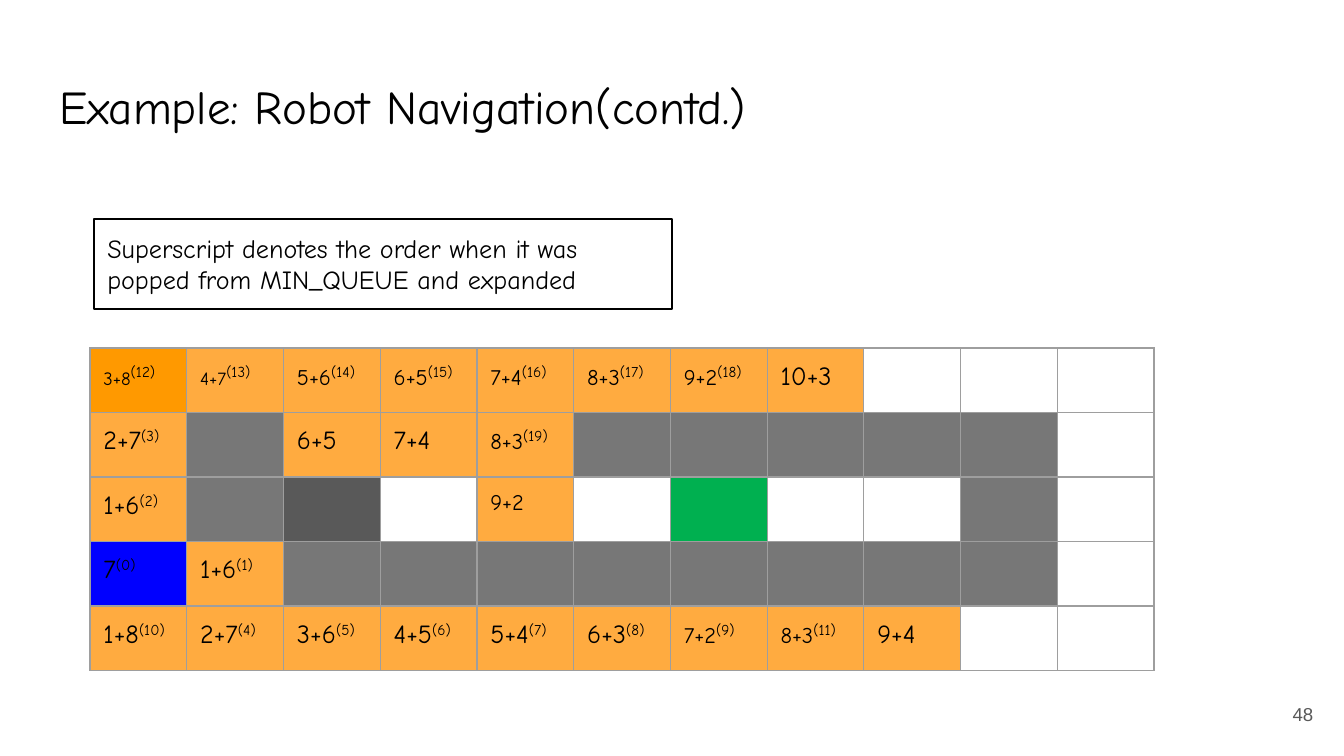
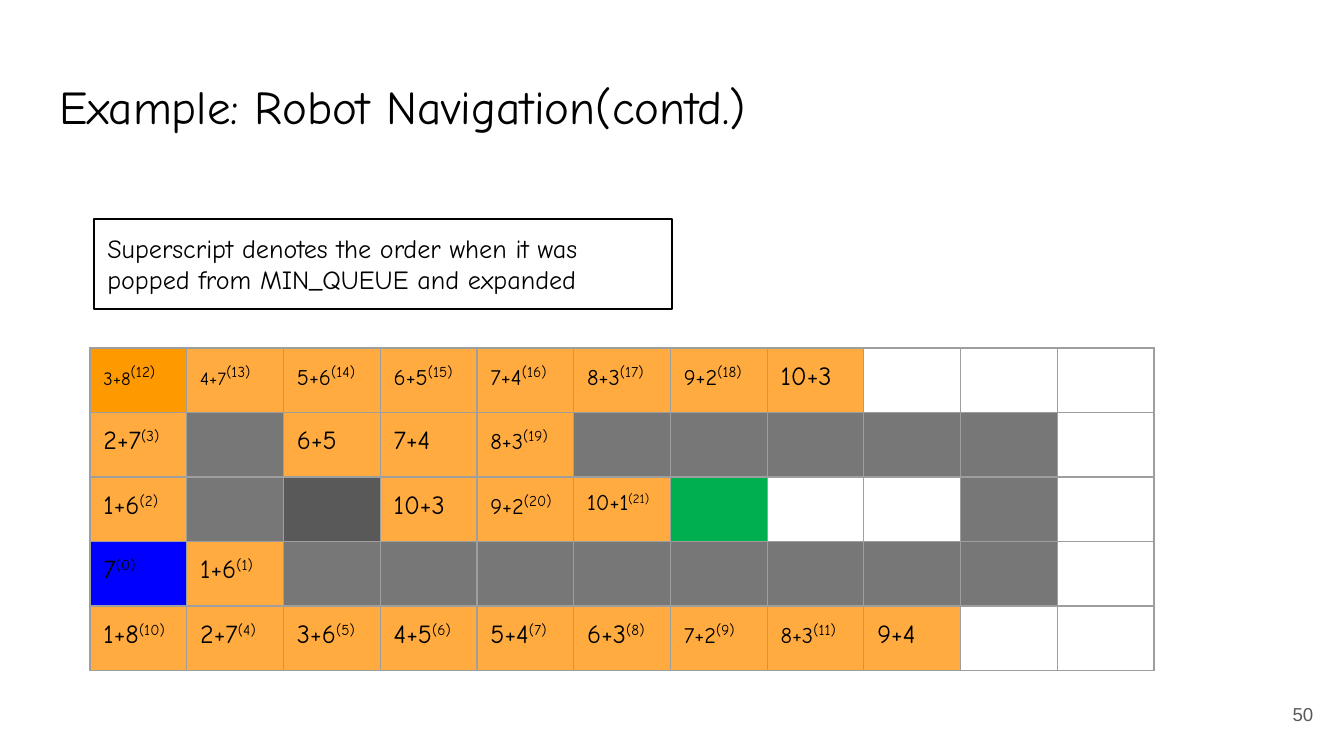
from dataclasses import dataclass

from lxml import etree
from pptx import Presentation
from pptx import util as u
from pptx.dml.color import RGBColor
from pptx.enum import shapes, text
from pptx.oxml import ns

In = u.Inches


@dataclass(frozen=True)
class Theme:
    body_font: str = "Comic Neue"
    number_font: str = "Arial"
    ink: str = "000000"
    muted: str = "595959"
    grid: str = "9E9E9E"
    visited: str = "FFAB40"
    corner: str = "FF9900"
    wall: str = "777777"
    dark_wall: str = "595959"
    start: str = "0000FF"
    goal: str = "00B050"
    cleared: str = "FFFFFF"
    title_size: float = 25.2
    body_size: float = 14
    number_size: float = 10
    line_width: float = 0.75
    inset: float = 0.1


TITLE = "Example: Robot Navigation(contd.)"
NOTE = "Superscript denotes the order when it was popped from MIN_QUEUE and expanded"

# A cell reads [size[/order size]:]cost[^order]; the other codes stand for empty cells.
EMPTY_KINDS = {"#": "wall", "_": "cleared", ".": None}
TOP_ROWS = [
    "10:3+8^12 10:4+7^13 12:5+6^14 12:6+5^15 12:7+4^16 12:8+3^17 12:9+2^18 10+3 . . .",
    "2+7^3 # 6+5 7+4 12:8+3^19 # # # # # .",
]
BOTTOM_ROWS = [
    "7^0 1+6^1 # # # # # # # # .",
    "1+8^10 2+7^4 3+6^5 4+5^6 5+4^7 6+3^8 12:7+2^9 12:8+3^11 9+4 . .",
]
MIDDLE_ROWS = {
    48: "1+6^2 # # . 12:9+2 _ . . . # .",
    50: "1+6^2 # # 10+3 12:9+2^20 12/12:10+1^21 . . . # .",
}
LANDMARKS = {(0, 0): "corner", (2, 2): "dark_wall", (2, 6): "goal", (3, 0): "start"}


class Deck:
    def __init__(self, theme):
        self.theme = theme
        self.prs = Presentation()
        self.prs.slide_width = In(10)
        self.prs.slide_height = In(10) * 9 // 16
        self.slide = None

    def new_slide(self):
        self.slide = self.prs.slides.add_slide(self.prs.slide_layouts[5])

    def run(self, paragraph, words, size, font=None, color=None):
        run = paragraph.add_run()
        run.text = words
        run.font.size = u.Pt(size)
        run.font.name = font or self.theme.body_font
        run.font.color.rgb = RGBColor.from_string(color or self.theme.ink)
        return run

    def frame(self, shape, anchor=text.MSO_ANCHOR.TOP, align=text.PP_ALIGN.LEFT):
        """Set insets, wrapping and alignment, and return the first paragraph."""
        frame = shape.text_frame
        frame.word_wrap = True
        frame.auto_size = text.MSO_AUTO_SIZE.NONE
        frame.vertical_anchor = anchor
        self.inset(frame)
        frame.paragraphs[0].alignment = align
        return frame.paragraphs[0]

    def inset(self, holder):
        for side in ("left", "right", "top", "bottom"):
            setattr(holder, f"margin_{side}", In(self.theme.inset))

    def title(self, words):
        title = self.slide.shapes.title
        title.left, title.top, title.width, title.height = map(In, (0.34, 0.48, 9.32, 0.63))
        self.run(self.frame(title), words, self.theme.title_size)

    def page_number(self, number):
        box = self.slide.shapes.add_textbox(In(9.27), In(5.1), In(0.6), In(0.43))
        paragraph = self.frame(box, text.MSO_ANCHOR.MIDDLE, text.PP_ALIGN.RIGHT)
        self.run(paragraph, str(number), self.theme.number_size,
                 self.theme.number_font, self.theme.muted)

    def note(self, words):
        note = self.slide.shapes.add_shape(
            shapes.MSO_SHAPE.RECTANGLE, In(0.7), In(1.63), In(4.3), In(0.67))
        note.shadow.inherit = False
        note.fill.background()
        note.line.color.rgb = RGBColor.from_string(self.theme.ink)
        note.line.width = u.Pt(self.theme.line_width)
        self.run(self.frame(note), words, self.theme.body_size)

    def maze(self, rows):
        grid = [row.split() for row in rows]
        columns = len(grid[0])
        col_width, row_height = In(0.72), In(0.48)
        table = self.slide.shapes.add_table(
            len(grid), columns, In(0.67), In(2.59),
            col_width * columns, row_height * len(grid)).table
        table.first_row = table.horz_banding = False
        for column in table.columns:
            column.width = col_width
        for r, row in enumerate(grid):
            table.rows[r].height = row_height
            for c, code in enumerate(row):
                self.maze_cell(table.cell(r, c), code, LANDMARKS.get((r, c)))

    def maze_cell(self, cell, code, landmark):
        kind = landmark or EMPTY_KINDS.get(code, "visited")
        if kind:
            cell.fill.solid()
            cell.fill.fore_color.rgb = RGBColor.from_string(getattr(self.theme, kind))
        else:
            cell.fill.background()
        self.borders(cell)
        if code not in EMPTY_KINDS:
            self.inset(cell)
            self.cost(cell.text_frame.paragraphs[0], code)

    def cost(self, paragraph, code):
        sizes, _, label = code.rpartition(":")
        cost_size, _, order_size = sizes.partition("/")
        cost, _, order = label.partition("^")
        self.run(paragraph, cost, float(cost_size or self.theme.body_size))
        if order:
            raised = self.run(paragraph, f"({order})",
                              float(order_size or self.theme.body_size))
            raised.font._element.set("baseline", "30000")

    def borders(self, cell):
        properties = cell._tc.get_or_add_tcPr()
        for position, side in enumerate(("lnL", "lnR", "lnT", "lnB")):
            line = etree.Element(ns.qn(f"a:{side}"), w=str(u.Pt(self.theme.line_width)))
            fill = etree.SubElement(line, ns.qn("a:solidFill"))
            etree.SubElement(fill, ns.qn("a:srgbClr"), val=self.theme.grid)
            properties.insert(position, line)


def main():
    deck = Deck(Theme())
    for number, middle_row in MIDDLE_ROWS.items():
        deck.new_slide()
        deck.title(TITLE)
        deck.page_number(number)
        deck.maze([*TOP_ROWS, middle_row, *BOTTOM_ROWS])
        deck.note(NOTE)
    deck.prs.save("out.pptx")


if __name__ == "__main__":
    main()
